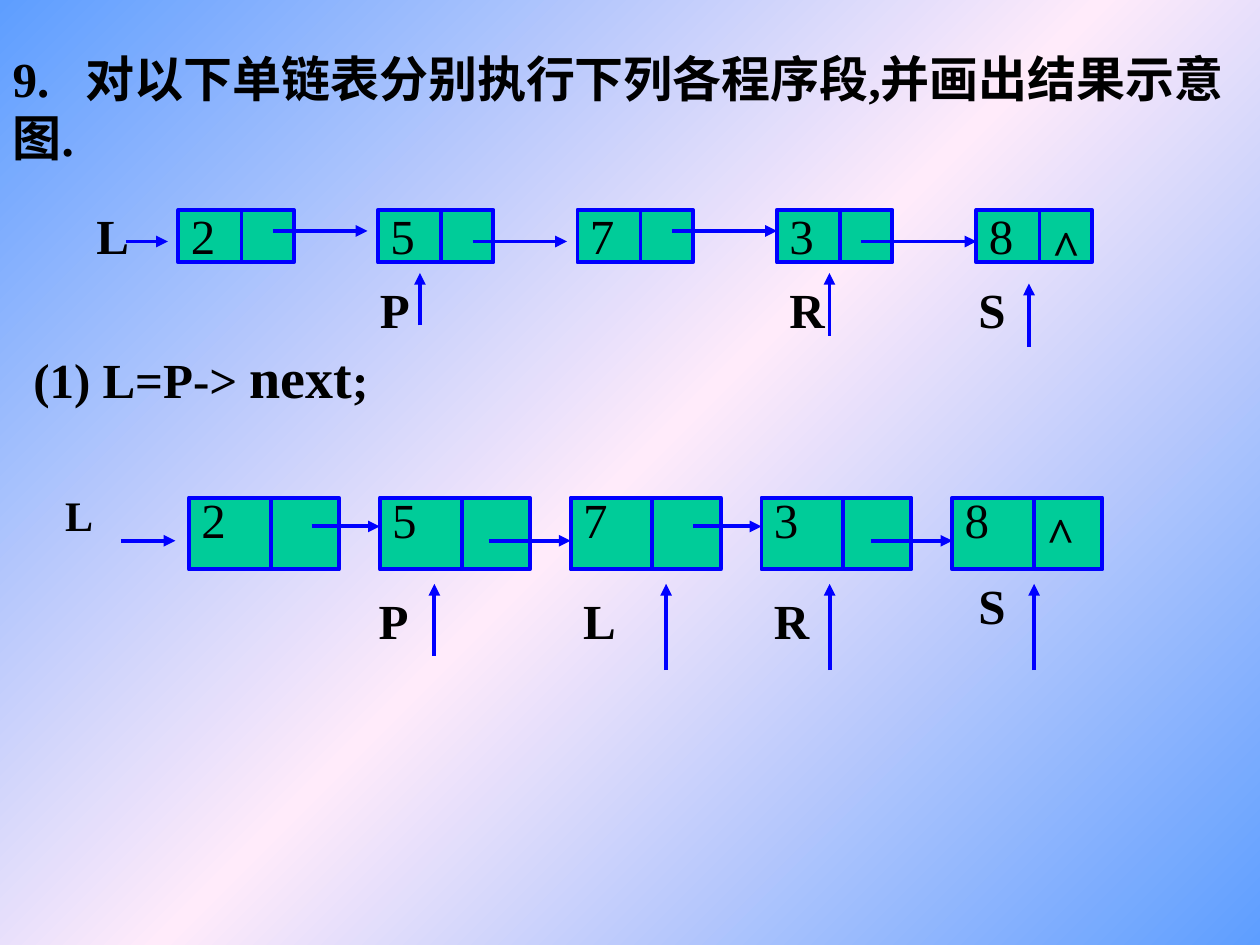
from copy import deepcopy
from dataclasses import dataclass
from typing import Any

from lxml.etree import SubElement
from pptx import Presentation
from pptx.dml.color import RGBColor
from pptx.enum.shapes import MSO_CONNECTOR, MSO_SHAPE
from pptx.enum.text import MSO_ANCHOR, MSO_AUTO_SIZE, PP_ALIGN
from pptx.oxml.ns import qn
from pptx.util import Inches, Pt

HUES = {"ink": "000000", "line": "0000FF", "cell": "00CC99",
        "edge": "5E9EFF", "glow": "FFEBFA"}
FACE = "Times New Roman"
SPLIT = 6
WIDE = 11
HIGH = 5


@dataclass
class Grid:
    left: float
    top: float
    col: float
    row: float

    def x(self, col: float) -> int:
        return Inches(self.left + col * self.col)

    def y(self, row: float) -> int:
        return Inches(self.top + row * self.row)


@dataclass
class Label:
    text: str
    col: float
    row: float
    cols: float
    size: int = 28
    bold: bool = True


@dataclass
class Arrow:
    col: float
    row: float
    end: float
    stop: float


@dataclass
class Chain:
    grid: Grid
    pitch: int
    links: list[Arrow]
    marks: list[Arrow]
    names: list[Label]


PAGE = Grid(0, 0, 1 / 12, 1 / 12)
START = Arrow(-5, 3, -1, 3)
NODES = "25738"
CHAINS = [
    Chain(Grid(17 / 12, 20 / 12, 1 / 12, 1 / 12), 19,
          [Arrow(9, 2, 18, 2), Arrow(28, 3, 37, 3),
           Arrow(47, 2, 57, 2), Arrow(65, 3, 76, 3)],
          [Arrow(23, 11, 23, 6), Arrow(62, 12, 62, 6),
           Arrow(81, 13, 81, 7)],
          [Label("L", -9, -1, 6), Label("P", 18, 6, 14),
           Label("R", 57, 6, 10), Label("S", 75, 6, 9)]),
    Chain(Grid(1.5, 3.95, 1.19 / 11, 0.57 / 5), 14,
          [Arrow(9, 2, 14, 2), Arrow(22, 3, 28, 3),
           Arrow(37, 2, 42, 2), Arrow(50, 3, 56, 3)],
          [Arrow(18, 11, 18, 6), Arrow(35, 12, 35, 6),
           Arrow(47, 12, 47, 6), Arrow(62, 12, 62, 6)],
          [Label("L", -10, -1, 5, 24), Label("P", 13, 6, 14),
           Label("L", 28, 6, 9), Label("R", 42, 6, 10),
           Label("S", 57, 5, 5)]),
]


def hue(name: str) -> RGBColor:
    return RGBColor.from_string(HUES[name])


def apply(item: Any, form: dict[str, Any]) -> None:
    for key, value in form.items():
        setattr(item, key, value)


def style(run: Any, size: int, bold: bool) -> None:
    apply(run.font, {"name": FACE, "size": Pt(size), "bold": bold})
    run.font.color.rgb = hue("ink")


def write(shapes: Any, grid: Grid, label: Label) -> Any:
    box = shapes.add_textbox(grid.x(label.col), grid.y(label.row),
                             Inches(label.cols * grid.col), Inches(0.57))
    apply(box.text_frame, {"word_wrap": True})
    para = box.text_frame.paragraphs[0]
    run = para.add_run()
    run.text = label.text
    style(run, label.size, label.bold)
    return para


def draw(shapes: Any, grid: Grid, arrow: Arrow, tip: bool = True) -> None:
    line = shapes.add_connector(
        MSO_CONNECTOR.STRAIGHT, grid.x(arrow.col), grid.y(arrow.row),
        grid.x(arrow.end), grid.y(arrow.stop))
    line.line.color.rgb = hue("line")
    line.line.width = Pt(2.25)
    if tip:
        SubElement(line.line._get_or_add_ln(), qn("a:tailEnd"), type="triangle")
    SubElement(line._element.spPr, qn("a:effectLst"))


def node(shapes: Any, grid: Grid, col: int, text: str) -> None:
    box = shapes.add_shape(MSO_SHAPE.RECTANGLE, grid.x(col), grid.y(0),
                           Inches(WIDE * grid.col), Inches(HIGH * grid.row))
    box.shadow.inherit = False
    box.fill.solid()
    box.fill.fore_color.rgb = hue("cell")
    box.line.color.rgb = hue("line")
    box.line.width = Pt(2.25)
    mid = col + SPLIT
    draw(shapes, grid, Arrow(mid, 0, mid, HIGH), tip=False)
    write(shapes, grid, Label(text, col, -1, SPLIT, bold=False))


def build(slide: Any, chain: Chain) -> None:
    shapes = slide.shapes.add_group_shape().shapes
    for num, text in enumerate(NODES):
        node(shapes, chain.grid, num * chain.pitch, text)
    for arrow in [START, *chain.links, *chain.marks]:
        draw(shapes, chain.grid, arrow)
    last = (len(NODES) - 1) * chain.pitch + SPLIT
    for label in [*chain.names, Label("^", last, 0, WIDE - SPLIT)]:
        write(shapes, chain.grid, label)


def paint(slide: Any) -> None:
    fill = slide.background.fill
    fill.gradient()
    fill.gradient_angle = 135
    stops = next(slide._element.iter(qn("a:gsLst")))
    stops.append(deepcopy(stops[-1]))
    for stop, name, place in zip(fill.gradient_stops,
                                 ("edge", "glow", "edge"), (0, 0.5, 1)):
        stop.color.rgb = hue(name)
        stop.position = place


def head(slide: Any) -> None:
    title = slide.shapes.title
    apply(title, {"left": 0, "top": PAGE.y(4),
                  "width": PAGE.x(120), "height": Inches(1.04)})
    frame = title.text_frame
    apply(frame, {"word_wrap": True, "vertical_anchor": MSO_ANCHOR.TOP,
                  "auto_size": MSO_AUTO_SIZE.NONE})
    para = frame.paragraphs[0]
    para.alignment = PP_ALIGN.LEFT
    tabs = SubElement(para._p.get_or_add_pPr(), qn("a:tabLst"))
    SubElement(tabs, qn("a:tab"), pos=str(Inches(0.58)), algn="l")
    run = para.add_run()
    run.text = "9.\t对以下单链表分别执行下列各程序段,并画出结果示意图."
    style(run, 28, True)


def main() -> None:
    deck = Presentation()
    apply(deck, {"slide_width": PAGE.x(120), "slide_height": PAGE.y(90)})
    slide = deck.slides.add_slide(deck.slide_layouts[5])
    paint(slide)
    head(slide)
    for chain in CHAINS:
        build(slide, chain)
    para = write(slide.shapes, PAGE, Label("(1) L=P-> ", 2, 32, 35))
    for text, size in (("next", 32), (";", 28)):
        run = para.add_run()
        run.text = text
        style(run, size, True)
    deck.save("out.pptx")


if __name__ == "__main__":
    main()
